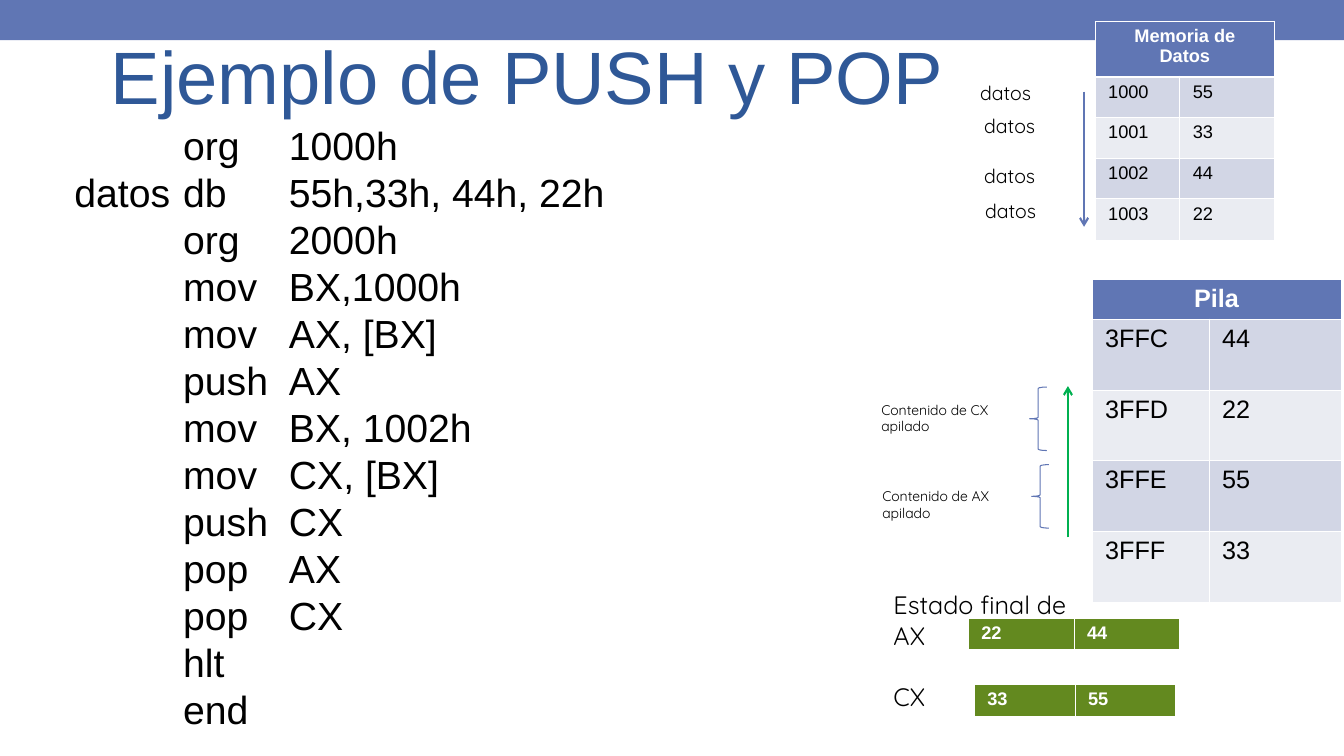
from dataclasses import dataclass

from lxml.etree import SubElement
from pptx import Presentation
from pptx.dml.color import RGBColor
from pptx.enum.shapes import MSO_CONNECTOR, MSO_SHAPE
from pptx.enum.text import MSO_ANCHOR, PP_ALIGN
from pptx.oxml.ns import qn
from pptx.util import Pt

PX = 9144  # EMU per px, 100 px to the inch


@dataclass(frozen=True)
class Theme:
    code_font: str = "Arial"
    note_font: str = "Quicksand"
    blue: str = "6076B4"
    title: str = "2F5897"
    green: str = "63891F"
    arrow_green: str = "00B050"
    bands: tuple = ("D2D6E5", "EAECF2")
    white: str = "FFFFFF"
    black: str = "000000"
    title_size: int = 53
    code_size: int = 28
    large: int = 18
    label_size: int = 14
    small: int = 13
    note_size: int = 10
    thin: float = 0.45
    heavy: float = 1.47
    arrow_width: float = 1.5
    brace_width: float = 0.75


THEME = Theme()

TITLE = "Ejemplo de PUSH y POP"
PROGRAM = [  # label, instruction, operands
    ("", "org", "1000h"),
    ("datos", "db", "55h,33h, 44h, 22h"),
    ("", "org", "2000h"),
    ("", "mov", "BX,1000h"),
    ("", "mov", "AX, [BX]"),
    ("", "push", "AX"),
    ("", "mov", "BX, 1002h"),
    ("", "mov", "CX, [BX]"),
    ("", "push", "CX"),
    ("", "pop", "AX"),
    ("", "pop", "CX"),
    ("", "hlt", ""),
    ("", "end", ""),
]
PROGRAM_STOPS = (108, 213)
MEMORY = [("1000", "55"), ("1001", "33"), ("1002", "44"), ("1003", "22")]
STACK = [("3FFC", "44"), ("3FFD", "22"), ("3FFE", "55"), ("3FFF", "33")]
TABLES = [  # heading, rows, left, top, column widths, row heights, size
    ("Memoria de Datos", MEMORY, 1087, 21, (84, 94), (55, 40, 41, 40, 41), THEME.small),
    ("Pila", STACK, 1084, 277, (116, 131), (40, 70, 70, 70, 70), THEME.large),
]
REGISTERS = [  # bytes, left, top, byte width
    (("22", "44"), 961, 613, 105),
    (("33", "55"), 967, 679, 100),
]
DATA_LABELS = [("datos", 963, 75), ("datos", 967, 108), ("datos", 967, 158), ("datos", 968, 192)]
STACKED = [  # note, left, top, brace left, brace top
    ("Contenido de CX apilado", 865, 393, 1022, 384),
    ("Contenido de AX apilado", 866, 479, 1024, 461),
]
FINAL_STATE = ["Estado final de", "AX", "CX"]
ARROWS = [(1076, 91, 225, THEME.blue), (1060, 533, 383, THEME.arrow_green)]


def rgb(value):
    return RGBColor.from_string(value)


def set_font(paragraph, font, size, color, bold=False):
    paragraph.font.name = font
    paragraph.font.size = Pt(size)
    paragraph.font.bold = bold
    paragraph.font.color.rgb = rgb(color)


def add_text(slide, lines, box, font, size, color):
    frame = slide.shapes.add_textbox(*(v * PX for v in box)).text_frame
    frame.word_wrap = True
    for i, line in enumerate(lines):
        paragraph = frame.add_paragraph() if i else frame.paragraphs[0]
        paragraph.text = line
        set_font(paragraph, font, size, color)
    return frame


def set_tab_stops(paragraph, stops):
    tabs = SubElement(paragraph._p.pPr, qn("a:tabLst"))
    for stop in stops:
        SubElement(tabs, qn("a:tab"), pos=str(stop * PX), algn="l")
    paragraph._p.pPr.find(qn("a:defRPr")).addprevious(tabs)


def set_borders(cell, row):
    """White edges, heavier on the line below the first row."""
    properties = cell._tc.get_or_add_tcPr()
    heavy_edge = {0: "B", 1: "T"}.get(row)
    for i, edge in enumerate("LRTB"):
        width = THEME.heavy if edge == heavy_edge else THEME.thin
        line = SubElement(properties, qn(f"a:ln{edge}"), w=str(Pt(width)))
        fill = SubElement(line, qn("a:solidFill"))
        SubElement(fill, qn("a:srgbClr"), val=THEME.white)
        properties.insert(i, line)


def add_grid(slide, rows, left, top, widths, heights, size, head_fill):
    table = slide.shapes.add_table(
        len(rows), len(widths), left * PX, top * PX, sum(widths) * PX, sum(heights) * PX
    ).table
    table.horz_banding = False
    for column, width in zip(table.columns, widths):
        column.width = width * PX
    for r, (values, height) in enumerate(zip(rows, heights)):
        table.rows[r].height = height * PX
        for c, value in enumerate(values):
            cell = table.cell(r, c)
            cell.text = value
            cell.margin_left = cell.margin_right = 13 * PX
            cell.margin_top = cell.margin_bottom = 5 * PX
            cell.fill.solid()
            cell.fill.fore_color.rgb = rgb(THEME.bands[(r - 1) % 2] if r else head_fill)
            set_borders(cell, r)
            set_font(cell.text_frame.paragraphs[0], THEME.code_font, size,
                     THEME.black if r else THEME.white, bold=r == 0)
    return table


def add_arrow(slide, x, start, end, color):
    arrow = slide.shapes.add_connector(
        MSO_CONNECTOR.STRAIGHT, x * PX, start * PX, x * PX, end * PX)
    arrow.line.color.rgb = rgb(color)
    arrow.line.width = Pt(THEME.arrow_width)
    SubElement(arrow.line._get_or_add_ln(), qn("a:tailEnd"), type="arrow")
    SubElement(arrow._element.spPr, qn("a:effectLst"))


def add_plain_shape(slide, kind, left, top, width, height):
    shape = slide.shapes.add_shape(kind, left * PX, top * PX, width * PX, height * PX)
    shape.shadow.inherit = False
    return shape


def main():
    deck = Presentation()
    deck.slide_width, deck.slide_height = 1334 * PX, 750 * PX
    slide = deck.slides.add_slide(deck.slide_layouts[6])

    banner = add_plain_shape(slide, MSO_SHAPE.RECTANGLE, 0, 0, 1334, 40)
    banner.fill.solid()
    banner.fill.fore_color.rgb = rgb(THEME.blue)
    banner.line.fill.background()

    title = add_text(slide, [TITLE], (100, 12, 1200, 125),
                     THEME.code_font, THEME.title_size, THEME.title)
    title.vertical_anchor = MSO_ANCHOR.MIDDLE

    program = add_text(slide, ["\t".join(line).rstrip() for line in PROGRAM],
                       (64, 115, 600, 617), THEME.code_font, THEME.code_size, THEME.black)
    for paragraph in program.paragraphs:
        set_tab_stops(paragraph, PROGRAM_STOPS)

    for heading, rows, left, top, widths, heights, size in TABLES:
        table = add_grid(slide, [(heading, ""), *rows], left, top, widths, heights,
                         size, THEME.blue)
        table.cell(0, 0).merge(table.cell(0, 1))
        table.cell(0, 0).text_frame.paragraphs[0].alignment = PP_ALIGN.CENTER

    for label, left, top in DATA_LABELS:
        add_text(slide, [label], (left, top, 90, 34),
                 THEME.note_font, THEME.label_size, THEME.black)
    for arrow in ARROWS:
        add_arrow(slide, *arrow)

    for note, left, top, brace_left, brace_top in STACKED:
        add_text(slide, [note], (left, top, 156, 44),
                 THEME.note_font, THEME.note_size, THEME.black)
        brace = add_plain_shape(slide, MSO_SHAPE.LEFT_BRACE, brace_left, brace_top, 17, 63)
        brace.fill.background()
        brace.line.color.rgb = rgb(THEME.blue)
        brace.line.width = Pt(THEME.brace_width)

    final_state = add_text(slide, FINAL_STATE, (877, 580, 399, 160),
                           THEME.note_font, THEME.large, THEME.black)
    final_state.paragraphs[-1].space_before = Pt(22)
    for values, left, top, width in REGISTERS:
        add_grid(slide, [values], left, top, (width, width), (32,), THEME.small, THEME.green)

    deck.save("out.pptx")


if __name__ == "__main__":
    main()
